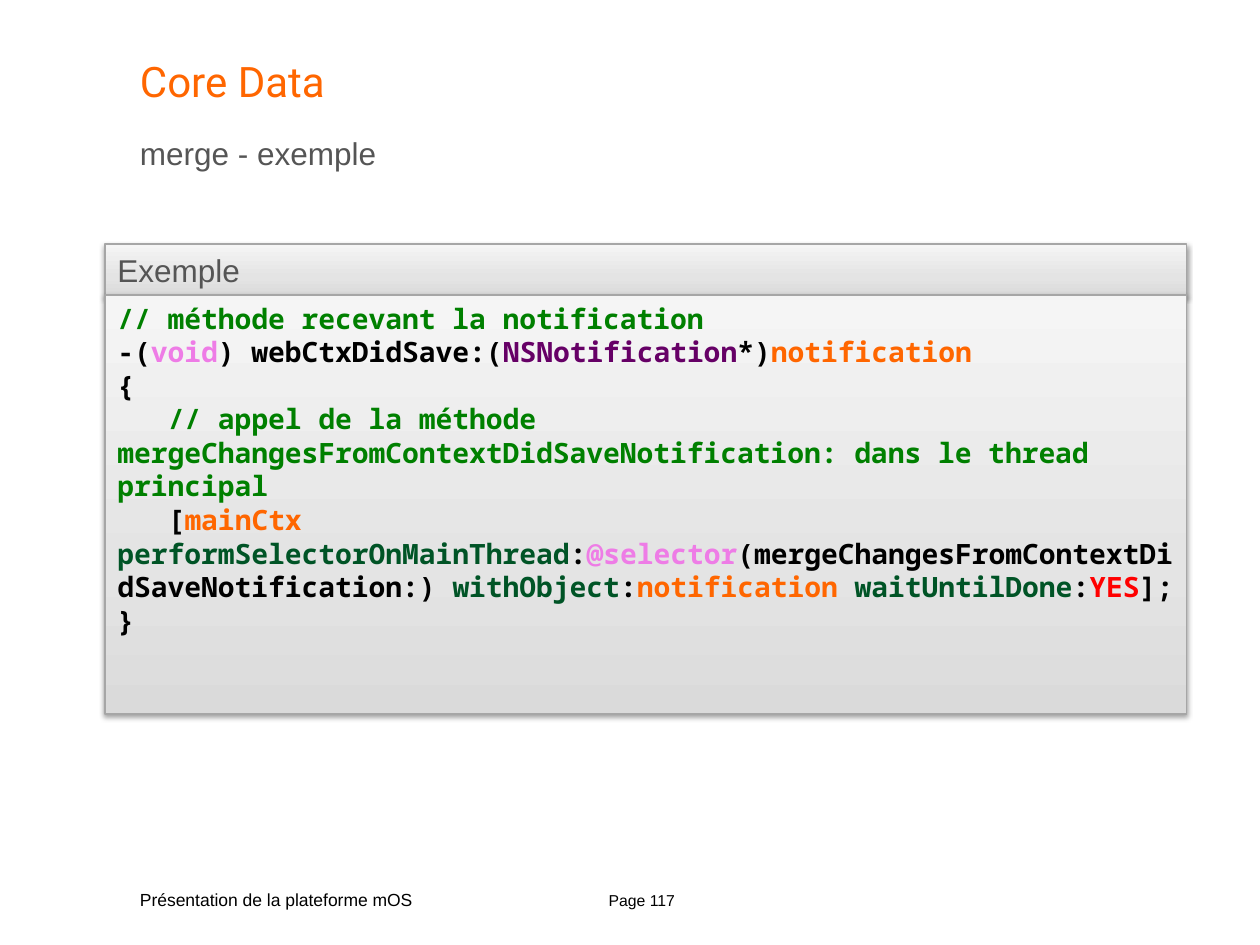
from copy import deepcopy

from lxml import etree
from pptx import Presentation
from pptx import util as u
from pptx.dml.color import RGBColor
from pptx.enum import shapes, text
from pptx.oxml import ns

Pt = u.Pt
ORANGE = RGBColor(0xFF, 0x66, 0x00)
GREY = RGBColor(0x55, 0x55, 0x55)
BLACK = RGBColor(0x00, 0x00, 0x00)
GREEN = RGBColor(0x00, 0x80, 0x00)
PINK = RGBColor(0xEE, 0x7C, 0xE6)
PURPLE = RGBColor(0x66, 0x00, 0x66)
FOREST = RGBColor(0x00, 0x54, 0x26)
RED = RGBColor(0xFF, 0x00, 0x00)
BORDER = RGBColor(0xA6, 0xA6, 0xA6)
GRADIENT = (
    (0, RGBColor(0xDA, 0xDA, 0xDA)),
    (0.35, RGBColor(0xE4, 0xE4, 0xE4)),
    (1, RGBColor(0xF5, 0xF5, 0xF5)),
)

LEFT, WIDTH = 80, 615
PANEL_LEFT, PANEL_WIDTH = 60, 618
PANEL_TOP, HEADER_HEIGHT, CODE_HEIGHT = 139.5, 29, 239.5
CODE_INDENT = 28.8

CODE = (
    (0, [("// méthode recevant la notification", GREEN)]),
    (0, [("-(", BLACK), ("void", PINK), (") webCtxDidSave:(", BLACK),
         ("NSNotification", PURPLE), ("*)", BLACK), ("notification", ORANGE)]),
    (0, [("{", BLACK)]),
    (CODE_INDENT, [("// appel de la méthode mergeChangesFromContextDidSaveNotification: "
                    "dans le thread principal", GREEN)]),
    (CODE_INDENT, [("[", BLACK), ("mainCtx ", ORANGE),
                   ("performSelectorOnMainThread", FOREST), (":", BLACK),
                   ("@selector", PINK),
                   ("(mergeChangesFromContextDidSaveNotification:) ", BLACK),
                   ("withObject", FOREST), (":", BLACK), ("notification ", ORANGE),
                   ("waitUntilDone", FOREST), (":", BLACK), ("YES", RED), ("];", BLACK)]),
    (0, [("}", BLACK)]),
)


class SlideWriter:
    body_font = "Arial"
    title_font = "Roboto"
    code_font = "Noto Sans Mono"

    def __init__(self, page):
        self.page = page

    def place(self, box, left, top, width, height):
        box.left, box.top, box.width, box.height = map(Pt, (left, top, width, height))

    def frame(self, box, inset, anchor=text.MSO_ANCHOR.TOP, wrap=True):
        frame = box.text_frame
        frame.word_wrap = wrap
        frame.auto_size = text.MSO_AUTO_SIZE.NONE
        frame.vertical_anchor = anchor
        frame.margin_left = frame.margin_right = Pt(inset[0])
        frame.margin_top = frame.margin_bottom = Pt(inset[1])
        return frame

    def spans(self, para, parts, size, font, bold=False, align=text.PP_ALIGN.LEFT):
        para.alignment = align
        for words, color in parts:
            span = para.add_run()
            span.text = words
            span.font.name = font
            span.font.size = Pt(size)
            span.font.bold = bold
            span.font.color.rgb = color

    def title(self, words, *area):
        box = self.page.shapes.title
        self.place(box, *area)
        para = self.frame(box, (0, 0)).paragraphs[0]
        self.spans(para, [(words, ORANGE)], 24, self.title_font)

    def label(self, words, area, size, color, inset=(0, 0), wrap=True,
              align=text.PP_ALIGN.LEFT):
        box = self.page.shapes.add_textbox(*map(Pt, area))
        para = self.frame(box, inset, wrap=wrap).paragraphs[0]
        self.spans(para, [(words, color)], size, self.body_font, align=align)

    def panel(self, top, height, anchor):
        area = map(Pt, (PANEL_LEFT, top, PANEL_WIDTH, height))
        box = self.page.shapes.add_shape(shapes.MSO_SHAPE.RECTANGLE, *area)
        box.line.color.rgb = BORDER
        box.line.width = Pt(0.75)
        self.gradient(box)
        self.shadow(box)
        return self.frame(box, (7.2, 3.6), anchor)

    def gradient(self, box):
        box.fill.gradient()
        box.fill.gradient_angle = 90
        first = box._element.spPr.find(".//" + ns.qn("a:gs"))
        first.addnext(deepcopy(first))
        for stop, (position, color) in zip(box.fill.gradient_stops, GRADIENT):
            stop.position = position
            stop.color.rgb = color

    def shadow(self, box):
        box.shadow.inherit = False
        effects = box._element.spPr.find(ns.qn("a:effectLst"))
        outer = etree.SubElement(effects, ns.qn("a:outerShdw"), blurRad=str(Pt(3.1)),
                                 dist=str(Pt(1.6)), dir="5400000", rotWithShape="0")
        color = etree.SubElement(outer, ns.qn("a:srgbClr"), val=str(BLACK))
        etree.SubElement(color, ns.qn("a:alpha"), val="38000")

    def header(self, words, top, height):
        frame = self.panel(top, height, text.MSO_ANCHOR.MIDDLE)
        self.spans(frame.paragraphs[0], [(words, GREY)], 18, self.body_font)

    def code(self, lines, top, height):
        frame = self.panel(top, height, text.MSO_ANCHOR.TOP)
        for number, (indent, parts) in enumerate(lines):
            para = frame.add_paragraph() if number else frame.paragraphs[0]
            self.spans(para, parts, 16, self.code_font, bold=True)
            para._p.get_or_add_pPr().set("indent", str(Pt(indent)))


def main():
    deck = Presentation()
    deck.slide_width, deck.slide_height = Pt(720), Pt(540)
    writer = SlideWriter(deck.slides.add_slide(deck.slide_layouts[5]))
    writer.label("Page 117", (337.5, 505.5, 58.5, 17), 9, BLACK, (0, 3.6),
                 align=text.PP_ALIGN.CENTER)
    writer.title("Core Data", LEFT, 31.5, WIDTH, 39)
    writer.label("Présentation de la plateforme mOS", (LEFT, 504.5, 196, 17.5), 10, BLACK,
                 (0, 3.6), wrap=False)
    writer.label("merge - exemple", (LEFT, 76.5, WIDTH, 24), 18, GREY)
    writer.header("Exemple", PANEL_TOP, HEADER_HEIGHT)
    writer.code(CODE, PANEL_TOP + HEADER_HEIGHT, CODE_HEIGHT)
    deck.save("out.pptx")


if __name__ == "__main__":
    main()
